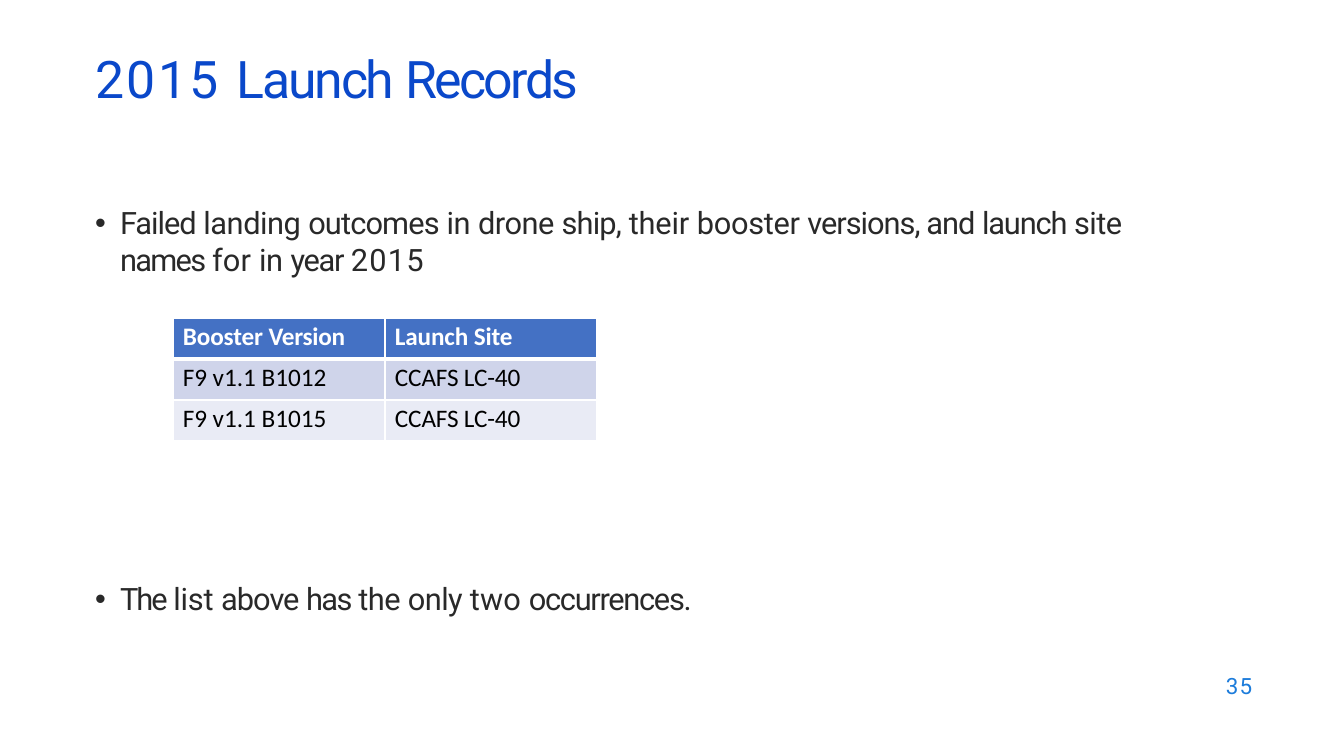
from lxml import etree
from pptx import Presentation
from pptx import util as u
from pptx.dml.color import RGBColor
from pptx.enum import text
from pptx.oxml.ns import qn

COLORS = {"title": "0A48CA", "body": "292929", "page": "1C7CDB", "header": "4471C4",
          "band1": "CFD4EA", "band2": "E9EBF5", "white": "FFFFFF", "black": "000000"}

# Each run is (text, letter spacing in points)
TITLE = [("2015 ", 1.8), ("Launch ", -1.6), ("Records", -1.8)]
OUTCOMES = [("Failed ", -0.7), ("landing ", -0.3), ("outcomes ", -0.6), ("in ", -0.2),
            ("drone ", -0.3), ("ship, ", -0.6), ("their ", -0.1), ("booster ", -0.2),
            ("versions, and ", -0.7), ("launch ", -0.8), ("site  ", -0.4), ("names ", -1.2),
            ("for ", 0.1), ("in ", -0.2), ("year ", -0.9), ("2015", 0.9)]
SUMMARY = [("The ", -1.4), ("list ", -0.1), ("above ", -0.7), ("has ", -1.2), ("the ", -0.3),
           ("only ", -0.4), ("two ", 0.1), ("occurrences.", -0.9)]
PAGE = [("35", 0.8)]
SITE = [("CCAFS LC-40", -0.1)]
RECORDS = [
    [[("Booster ", -0.1), ("Version", -0.2)], [("Launch Site", -0.1)]],
    [[("F9 ", -0.1), ("v1.1 B1012", 0)], SITE],
    [[("F9 ", -0.1), ("v1.1 B1015", 0)], SITE],
]
ROW_FILLS = ["header", "band1", "band2"]

SLIDE_W, SLIDE_H = 1344, 756
TABLE_X, TABLE_Y, COL_W, ROW_H = 173, 318, 212, 41


def px(n):
    return u.Emu(round(n * 914400 / 100.8))


def rgb(name):
    return RGBColor.from_string(COLORS[name])


def write(tf, runs, size, color, font="Roboto", bold=False, bullet=False,
          left=0, top=1, line=None):
    tf.word_wrap = True
    tf.margin_left = tf.margin_right = tf.margin_bottom = 0
    tf.margin_top = px(top)
    p = tf.paragraphs[0]
    pPr = p._p.get_or_add_pPr()
    pPr.set("marL", str(px(left)))
    if line:
        p.line_spacing = u.Pt(line)
    if bullet:
        pPr.set("indent", str(px(-25)))
        etree.SubElement(pPr, qn("a:buFont")).set("typeface", "Arial")
        etree.SubElement(pPr, qn("a:buChar")).set("char", "•")
    for words, spacing in runs:
        r = p.add_run()
        r.text = words
        r.font.name, r.font.size, r.font.bold = font, u.Pt(size), bold
        r.font.color.rgb = rgb(color)
        r._r.get_or_add_rPr().set("spc", str(round(spacing * 100)))


def add_text(s, box, runs, size, color, **fmt):
    tf = s.shapes.add_textbox(*map(px, box)).text_frame
    write(tf, runs, size, color, **fmt)
    tf.auto_size = text.MSO_AUTO_SIZE.SHAPE_TO_FIT_TEXT


def add_borders(cell, top, bottom):
    """White cell edges; widths in points. Must run before the fill is set."""
    tcPr = cell._tc.get_or_add_tcPr()
    for side, width in (("L", 1), ("R", 1), ("T", top), ("B", bottom)):
        ln = etree.SubElement(tcPr, qn(f"a:ln{side}"), w=str(u.Pt(width)))
        fill = etree.SubElement(ln, qn("a:solidFill"))
        etree.SubElement(fill, qn("a:srgbClr"), val=COLORS["white"])


def add_records(s):
    rows, cols = len(RECORDS), len(RECORDS[0])
    table = s.shapes.add_table(rows, cols, px(TABLE_X), px(TABLE_Y),
                               px(COL_W * cols), px(ROW_H * rows)).table
    for col in table.columns:
        col.width = px(COL_W)
    for i, record in enumerate(RECORDS):
        table.rows[i].height = px(ROW_H)
        head = i == 0
        for j, runs in enumerate(record):
            cell = table.cell(i, j)
            cell.margin_left = cell.margin_right = cell.margin_bottom = 0
            cell.margin_top = px(4)
            add_borders(cell, top=3 if i == 1 else 1, bottom=3 if head else 1)
            cell.fill.solid()
            cell.fill.fore_color.rgb = rgb(ROW_FILLS[i])
            write(cell.text_frame, runs, 18, "white" if head else "black",
                  font="Calibri", bold=head, left=10, top=4)


def main():
    prs = Presentation()
    prs.slide_width, prs.slide_height = px(SLIDE_W), px(SLIDE_H)
    s = prs.slides.add_slide(prs.slide_layouts[6])
    add_text(s, (94, 46, 493, 66), TITLE, 37, "title", left=1)
    add_text(s, (94, 203, 1049, 77), OUTCOMES, 22, "body", bullet=True, left=26)
    add_records(s)
    add_text(s, (94, 579, 610, 40), SUMMARY, 22, "body", bullet=True, left=26)
    add_text(s, (1222, 673, 35, 28), PAGE, 16, "page", left=4, top=0, line=18.4)
    prs.save("out.pptx")


if __name__ == "__main__":
    main()
